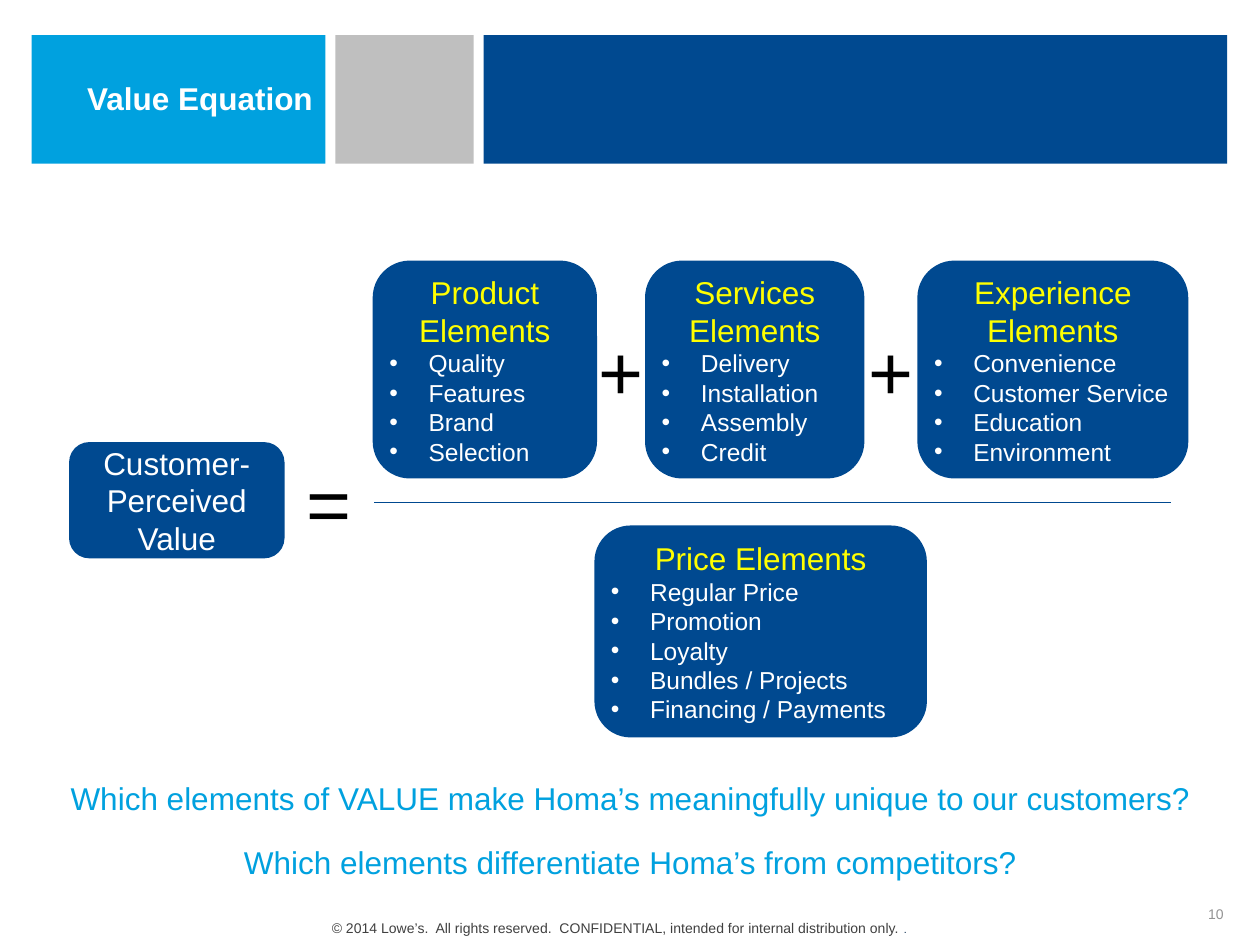
from lxml import etree
from pptx import Presentation
from pptx.dml.color import RGBColor
from pptx.enum.shapes import MSO_CONNECTOR, MSO_SHAPE
from pptx.enum.text import MSO_ANCHOR, MSO_AUTO_SIZE, PP_ALIGN
from pptx.oxml.ns import qn
from pptx.util import Cm, Pt

RECT, ROUNDED = MSO_SHAPE.RECTANGLE, MSO_SHAPE.ROUNDED_RECTANGLE
LEFT, CENTER, RIGHT = PP_ALIGN.LEFT, PP_ALIGN.CENTER, PP_ALIGN.RIGHT
TOP, MIDDLE = MSO_ANCHOR.TOP, MSO_ANCHOR.MIDDLE

SKY = RGBColor(0x00, 0xA1, 0xDF)
NAVY = RGBColor(0x00, 0x49, 0x90)
DARK_NAVY = RGBColor(0x00, 0x24, 0x48)
SILVER = RGBColor(0xBF, 0xBF, 0xBF)
PAGE_GRAY = RGBColor(0x93, 0x93, 0x93)
FOOTER_GRAY = RGBColor(0x40, 0x40, 0x40)
YELLOW = RGBColor(0xFF, 0xFF, 0x00)
WHITE = RGBColor(0xFF, 0xFF, 0xFF)
BLACK = RGBColor(0x00, 0x00, 0x00)
FONT = "Arial"

# Content; all lengths are in centimetres
HEADER = "Value Equation"
HEADER_BARS = [(0.64, 5.92, SKY), (6.76, 2.79, SILVER), (9.75, 14.99, NAVY)]
QUESTIONS = [
    "Which elements of VALUE make Homa’s meaningfully unique to our customers?",
    "Which elements differentiate Homa’s from competitors?",
]
RESULT = "Customer-Perceived Value"
NUMERATOR = [
    ("Product Elements", 4.47, ["Quality", "Features", "Brand", "Selection"]),
    ("Services Elements", 4.37, ["Delivery", "Installation", "Assembly", "Credit"]),
    ("Experience Elements", 5.41,
     ["Convenience", "Customer Service", "Education", "Environment"]),
]
DENOMINATOR = ("Price Elements", ["Regular Price", "Promotion", "Loyalty",
                                  "Bundles / Projects", "Financing / Payments"])
COPYRIGHT = ("© 2014 Lowe’s.  All rights reserved.  "
             "CONFIDENTIAL, intended for internal distribution only. ")
PAGE = "10"

FRACTION_LEFT, FRACTION_RIGHT, FRACTION_Y = 7.54, 23.6, 10.13
NUMERATOR_TOP, NUMERATOR_HEIGHT, NUMERATOR_PITCH = 5.28, 4.34, 5.49
SIGN_WIDTH = 1.42
BULLET_INDENT = Cm(0.79)


def style(font, size, color, bold=False):
    font.name, font.size, font.bold = FONT, Pt(size), bold
    font.color.rgb = color


def add_label(slide, text, box, size, color, align=CENTER, anchor=TOP,
              bold=False, wrap=True):
    label = slide.shapes.add_textbox(*map(Cm, box))
    frame = label.text_frame
    frame.word_wrap, frame.vertical_anchor = wrap, anchor
    frame.text = text
    paragraph = frame.paragraphs[0]
    paragraph.alignment = align
    style(paragraph.runs[0].font, size, color, bold)
    return paragraph


def add_block(slide, preset, box, fill):
    block = slide.shapes.add_shape(preset, *map(Cm, box))
    block.shadow.inherit = False
    block.fill.solid()
    block.fill.fore_color.rgb = fill
    block.line.fill.background()
    return block


def add_bullet(paragraph):
    properties = paragraph._p.get_or_add_pPr()
    properties.set("marL", str(BULLET_INDENT))
    properties.set("indent", str(-BULLET_INDENT))
    etree.SubElement(properties, qn("a:buFont")).set("typeface", FONT)
    etree.SubElement(properties, qn("a:buChar")).set("char", "•")


def add_card(slide, box, heading, heading_color, items=()):
    """Add a rounded navy box with a centred heading and bulleted items."""
    card = add_block(slide, ROUNDED, box, NAVY)
    card.line.color.rgb = NAVY
    card.line.width = Pt(1.5)
    frame = card.text_frame
    frame.word_wrap, frame.vertical_anchor = True, MIDDLE
    frame.margin_left = frame.margin_right = Cm(0.1)
    frame.margin_top = frame.margin_bottom = Cm(0.1)
    frame.text = "\n".join([heading, *items])
    title, *bullets = frame.paragraphs
    title.alignment = CENTER
    style(title.runs[0].font, 18, heading_color)
    for bullet in bullets:
        bullet.alignment = LEFT
        add_bullet(bullet)
        style(bullet.runs[0].font, 14, WHITE)


def add_header(slide):
    for left, width, color in HEADER_BARS:
        add_block(slide, RECT, (left, 0.71, width, 2.59), color)
    add_label(slide, HEADER, (0.84, 1.47, 5.72, 1.07), 18, WHITE, RIGHT, bold=True)


def add_questions(slide):
    title = slide.shapes.title
    title.left, title.top, title.width, title.height = map(Cm, (0.74, 15.67, 23.93, 2.11))
    frame = title.text_frame
    frame.auto_size, frame.vertical_anchor = MSO_AUTO_SIZE.NONE, MIDDLE
    frame.word_wrap = True
    frame.text = "\n".join(QUESTIONS)
    for index, question in enumerate(frame.paragraphs):
        question.alignment = CENTER
        question.space_before = Pt(15 if index else 0)
        style(question.runs[0].font, 18, SKY)


def add_equation(slide):
    add_card(slide, (1.42, 8.94, 4.29, 2.29), RESULT, WHITE)
    add_label(slide, "=", (5.92, 9.04, SIGN_WIDTH, 2.13), 44, BLACK, anchor=MIDDLE)

    previous_right = None
    for index, (heading, width, items) in enumerate(NUMERATOR):
        left = FRACTION_LEFT + index * NUMERATOR_PITCH
        add_card(slide, (left, NUMERATOR_TOP, width, NUMERATOR_HEIGHT),
                 heading, YELLOW, items)
        if previous_right is not None:
            sign_left = (previous_right + left - SIGN_WIDTH) / 2
            add_label(slide, "+", (sign_left, 6.4, SIGN_WIDTH, 1.96), 44, BLACK)
        previous_right = left + width

    fraction_bar = slide.shapes.add_connector(
        MSO_CONNECTOR.STRAIGHT, Cm(FRACTION_LEFT), Cm(FRACTION_Y),
        Cm(FRACTION_RIGHT), Cm(FRACTION_Y))
    fraction_bar.line.color.rgb = NAVY
    fraction_bar.line.width = Pt(0.75)
    etree.SubElement(fraction_bar._element.spPr, qn("a:effectLst"))

    heading, items = DENOMINATOR
    add_card(slide, (12.01, 10.62, 6.65, 4.22), heading, YELLOW, items)


def add_footer(slide):
    footer = add_label(slide, COPYRIGHT, (6.35, 18.42, 12.27, 0.61), 8,
                       FOOTER_GRAY, wrap=False)
    full_stop = footer.add_run()
    full_stop.text = "."
    style(full_stop.font, 6, DARK_NAVY)
    add_label(slide, PAGE, (19, 18.06, 5.92, 0.74), 8, PAGE_GRAY, RIGHT, MIDDLE)


def main():
    deck = Presentation()
    deck.slide_width, deck.slide_height = Cm(25.4), Cm(19.05)
    slide = deck.slides.add_slide(deck.slide_layouts.get_by_name("Title Only"))
    add_header(slide)
    add_questions(slide)
    add_equation(slide)
    add_footer(slide)
    deck.save("out.pptx")


if __name__ == "__main__":
    main()
